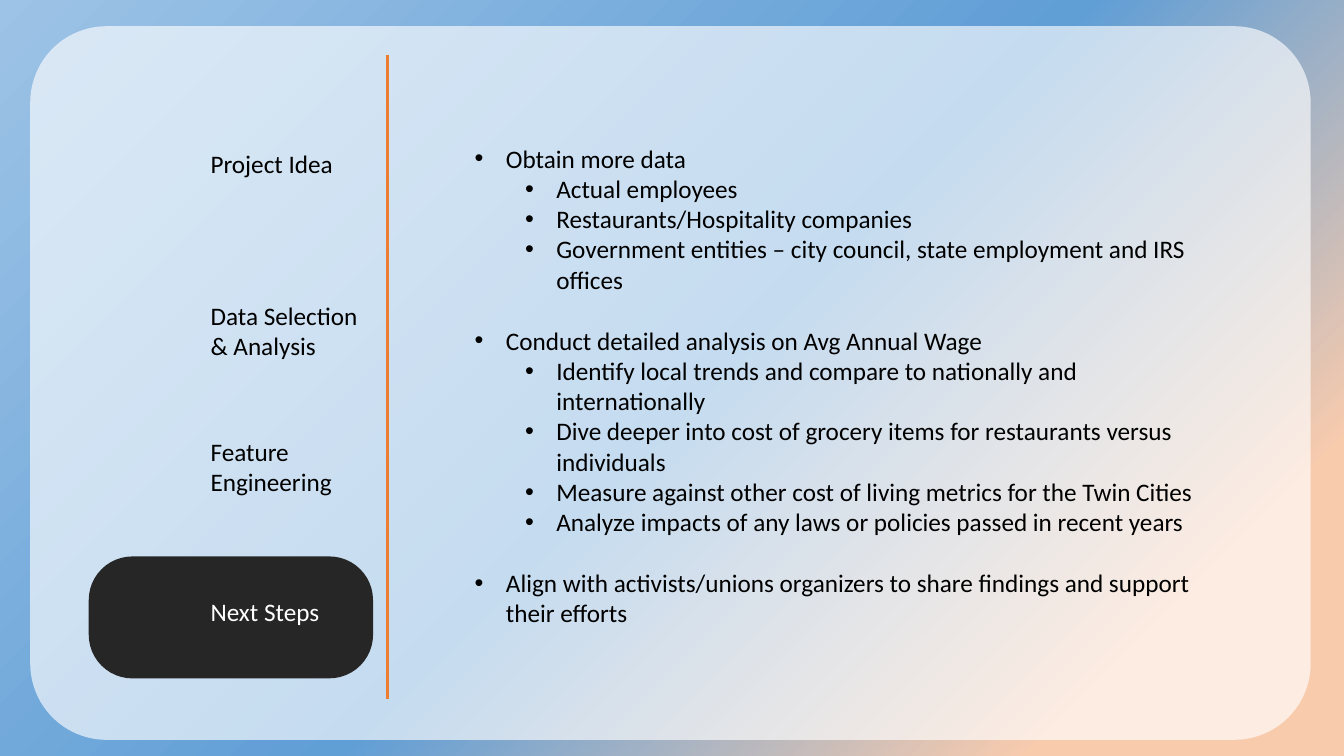
import pptx
import pptx.dml.color
import pptx.enum.shapes
import pptx.oxml
import pptx.oxml.ns
import pptx.util
from pptx.util import Inches

COLORS = {
    "peach": "F8CBAD",
    "blue": "609ED6",
    "sky": "9DC3E6",
    "white": "FFFFFF",
    "dark": "262626",
    "black": "000000",
    "orange": "ED7D31",
}
GRADIENT = [(15, "peach"), (48, "blue"), (100, "sky")]

# label, top, width, height
SECTIONS = [
    ("Project Idea", 1.42, 1.62, 0.4),
    ("Data Selection & Analysis", 2.93, 1.71, 0.71),
    ("Feature Engineering", 4.28, 1.71, 0.71),
    ("Next Steps", 5.87, 1.71, 0.4),
]
CURRENT_SECTION = "Next Steps"

NEXT_STEPS = [
    ("Obtain more data", [
        "Actual employees",
        "Restaurants/Hospitality companies",
        "Government entities – city council, state employment and IRS offices",
    ]),
    ("Conduct detailed analysis on Avg Annual Wage", [
        "Identify local trends and compare to nationally and internationally",
        "Dive deeper into cost of grocery items for restaurants versus individuals",
        "Measure against other cost of living metrics for the Twin Cities",
        "Analyze impacts of any laws or policies passed in recent years",
    ]),
    ("Align with activists/unions organizers to share findings and support their efforts", []),
]


def rgb(name):
    return pptx.dml.color.RGBColor.from_string(COLORS[name])


def add_child(parent, tag, **attributes):
    child = pptx.oxml.parse_xml(f"<{tag} {pptx.oxml.ns.nsdecls('a')}/>")
    for key, value in attributes.items():
        child.set(key, str(value))
    parent.append(child)
    return child


def write(para, text, color="black", size=18, font="Calibri", level=None, gap=0):
    """Fill a paragraph; a level makes it a bullet, a gap is points of space before."""
    if level is not None:
        para.level = level
        properties = para._p.get_or_add_pPr()
        properties.set("marL", str(Inches(0.31 + 0.5 * level)))
        properties.set("indent", str(Inches(-0.31)))
        add_child(properties, "a:buFont", typeface="Arial")
        add_child(properties, "a:buChar", char="•")
    if gap:
        para.space_before = pptx.util.Pt(gap)
    span = para.add_run()
    span.text = text
    span.font.name = font
    span.font.size = pptx.util.Pt(size)
    span.font.color.rgb = rgb(color)


class SlideBuilder:
    def __init__(self, page):
        self.page = page

    def background(self, stops, angle):
        fill = self.page.background.fill
        fill.gradient()
        fill.gradient_angle = angle
        stop_list = self.page.element.find(".//" + pptx.oxml.ns.qn("a:gsLst"))
        for old_stop in list(stop_list):
            stop_list.remove(old_stop)
        for percent, color in stops:
            stop = add_child(stop_list, "a:gs", pos=percent * 1000)
            add_child(stop, "a:srgbClr", val=COLORS[color])

    def panel(self, left, top, width, height, corner, color, opacity=100):
        panel = self.page.shapes.add_shape(
            pptx.enum.shapes.MSO_SHAPE.ROUNDED_RECTANGLE,
            Inches(left), Inches(top), Inches(width), Inches(height))
        panel.adjustments[0] = corner
        panel.shadow.inherit = False
        panel.line.fill.background()
        panel.fill.solid()
        panel.fill.fore_color.rgb = rgb(color)
        if opacity < 100:
            fill_color = panel._element.spPr.find(".//" + pptx.oxml.ns.qn("a:srgbClr"))
            add_child(fill_color, "a:alpha", val=opacity * 1000)

    def text_frame(self, left, top, width, height):
        box = self.page.shapes.add_textbox(
            Inches(left), Inches(top), Inches(width), Inches(height))
        box.text_frame.word_wrap = True
        return box.text_frame

    def label(self, text, left, top, width, height, color):
        write(self.text_frame(left, top, width, height).paragraphs[0], text, color=color)

    def bullets(self, groups, left, top, width, height):
        frame = self.text_frame(left, top, width, height)
        for index, (heading, details) in enumerate(groups):
            para = frame.add_paragraph() if index else frame.paragraphs[0]
            write(para, heading, level=0, gap=22 if index else 0)
            for detail in details:
                write(frame.add_paragraph(), detail, level=1)

    def vertical_line(self, left, top, bottom, color, width):
        line = self.page.shapes.add_connector(
            pptx.enum.shapes.MSO_CONNECTOR.STRAIGHT,
            Inches(left), Inches(top), Inches(left), Inches(bottom))
        line.line.color.rgb = rgb(color)
        line.line.width = pptx.util.Pt(width)
        add_child(line._element.spPr, "a:effectLst")


def main():
    deck = pptx.Presentation()
    deck.slide_width, deck.slide_height = Inches(13.33), Inches(7.5)
    blank_layout = deck.slide_layouts[6]
    builder = SlideBuilder(deck.slides.add_slide(blank_layout))

    builder.background(GRADIENT, angle=135)
    builder.panel(0.3, 0.26, 12.7, 7.08, corner=0.107, color="white", opacity=64)
    builder.panel(0.88, 5.52, 2.82, 1.21, corner=0.358, color="dark")
    for text, top, width, height in SECTIONS:
        color = "white" if text == CURRENT_SECTION else "black"
        builder.label(text, 1.99, top, width, height, color)
    builder.vertical_line(3.84, 0.55, 6.93, "orange", 2.25)
    builder.bullets(NEXT_STEPS, 4.61, 1.37, 7.45, 4.95)
    deck.save("out.pptx")


if __name__ == "__main__":
    main()
